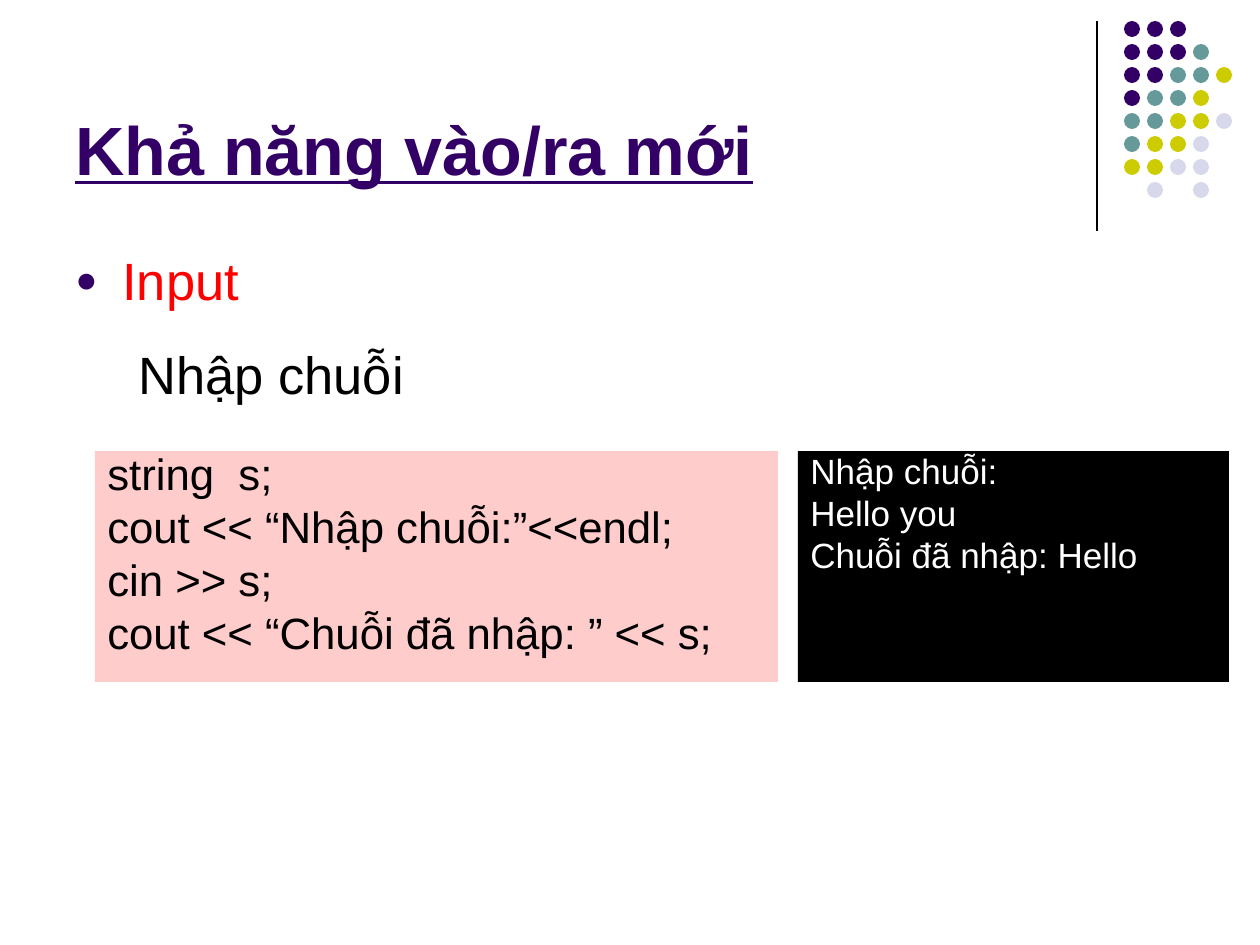
from lxml import etree
from pptx import Presentation
from pptx.dml.color import RGBColor
from pptx.enum.shapes import MSO_CONNECTOR, MSO_SHAPE
from pptx.enum.text import MSO_ANCHOR, PP_ALIGN
from pptx.oxml.ns import qn
from pptx.util import Emu, Pt

RECTANGLE = MSO_SHAPE.RECTANGLE
OVAL = MSO_SHAPE.OVAL
STRAIGHT = MSO_CONNECTOR.STRAIGHT
TOP = MSO_ANCHOR.TOP
BOTTOM = MSO_ANCHOR.BOTTOM
LEFT = PP_ALIGN.LEFT

EMU_PER_PX = 914400 / 126
PURPLE = "330066"
BLACK = "000000"
DOT_COLORS = {"P": PURPLE, "T": "669999", "Y": "CCCC00", "L": "D8D8EC"}
DOT_ROWS = ["PPP", "PPPT", "PPTTY", "PTTY", "TTYYL", "TYYL", "YYLL", " L L"]


def px(length):
    return Emu(round(length * EMU_PER_PX))


def color(value):
    return RGBColor.from_string(value)


class SlideBuilder:
    font = "Arial"
    hanging = 47

    def __init__(self, page):
        self.page = page

    def line(self, x1, y1, x2, y2):
        rule = self.page.shapes.add_connector(STRAIGHT, px(x1), px(y1), px(x2), px(y2))
        rule.line.color.rgb = color(BLACK)
        rule.line.width = Pt(0.75)
        etree.SubElement(rule._element.spPr, qn("a:effectLst"))

    def shape(self, kind, area, fill):
        shape = self.page.shapes.add_shape(kind, *map(px, area))
        shape.shadow.inherit = False
        shape.fill.solid()
        shape.fill.fore_color.rgb = color(fill)
        shape.line.fill.background()
        return shape

    def dots(self, left, top, size, pitch):
        for row, marks in enumerate(DOT_ROWS):
            for column, mark in enumerate(marks):
                if mark in DOT_COLORS:
                    area = (left + column * pitch, top + row * pitch, size, size)
                    self.shape(OVAL, area, DOT_COLORS[mark])

    def set_text(self, box, text, size, ink, anchor=TOP, spacing=None, before=0):
        frame = box.text_frame
        frame.word_wrap = True
        frame.vertical_anchor = anchor
        frame.text = text
        for index, para in enumerate(frame.paragraphs):
            para.line_spacing = spacing
            para.space_before = Pt(before if index else 0)
            para.alignment = LEFT
            for span in para.runs:
                span.font.name = self.font
                span.font.size = Pt(size)
                span.font.color.rgb = color(ink)
        return frame.paragraphs[0]

    def text(self, area, text, size, ink, anchor=TOP):
        box = self.page.shapes.add_textbox(*map(px, area))
        return self.set_text(box, text, size, ink, anchor)

    def title(self, area, text):
        para = self.text(area, text, 39, PURPLE, BOTTOM)
        for span in para.runs:
            span.font.bold = True
            span.font.underline = True

    def bullet(self, area, text):
        para = self.text(area, text, 30, "FF0000")
        properties = para._p.get_or_add_pPr()
        properties.set("marL", str(px(self.hanging)))
        properties.set("indent", str(-px(self.hanging)))
        bullet_color = etree.SubElement(properties, qn("a:buClr"))
        etree.SubElement(bullet_color, qn("a:srgbClr"), val=PURPLE)
        etree.SubElement(properties, qn("a:buSzPct"), val="70000")
        etree.SubElement(properties, qn("a:buFont"), typeface=self.font)
        etree.SubElement(properties, qn("a:buChar"), char="●")

    def panel(self, area, lines, size, fill, ink, before):
        box = self.shape(RECTANGLE, area, fill)
        self.set_text(box, "\n".join(lines), size, ink, spacing=0.8, before=before)


def main():
    deck = Presentation()
    deck.slide_width, deck.slide_height = px(1260), px(945)
    builder = SlideBuilder(deck.slides.add_slide(deck.slide_layouts[6]))

    builder.line(1097, 21, 1097, 231)
    builder.dots(1124, 21, 16, 23)
    builder.title((63, 16, 1040, 179), "Khả năng vào/ra mới")
    builder.bullet((63, 242, 1134, 607), "Input")

    code = [
        "string  s;",
        "cout << “Nhập chuỗi:”<<endl;",
        "cin >> s;",
        "cout << “Chuỗi đã nhập: ” << s;",
    ]
    builder.panel((95, 451, 683, 231), code, 25, "FFCCCC", BLACK, 6.2)
    builder.text((126, 336, 1134, 95), "Nhập chuỗi", 30, BLACK)
    output = ["Nhập chuỗi:", "Hello you", "Chuỗi đã nhập: Hello"]
    builder.panel((798, 451, 431, 231), output, 20, BLACK, "FFFFFF", 5)

    deck.save("out.pptx")


if __name__ == "__main__":
    main()
